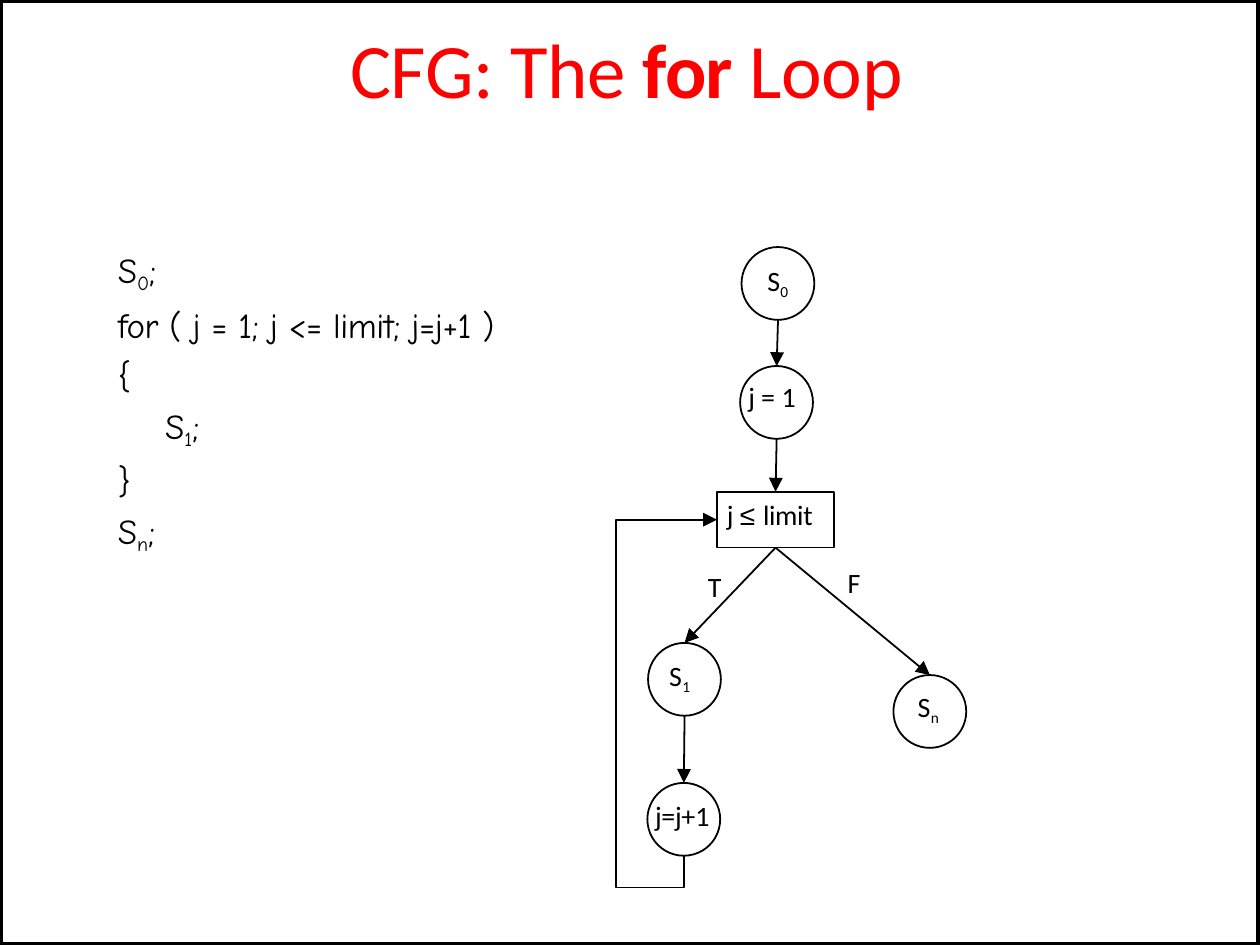
from pptx import Presentation
from pptx import util as u
from pptx.dml.color import RGBColor
from pptx.enum import shapes, text
from pptx.oxml.ns import qn
from lxml import etree

Pt = u.Pt
BLACK = RGBColor(0, 0, 0)
RED = RGBColor(255, 0, 0)
LINE_WIDTH = 0.5
DIAMETER = 20.8

SUB = {"size": 7.5, "baseline": -22000}
CODE_SUB = {"size": 9.8, "baseline": -21000}
TIGHT = {"spc": -10}

# (indent, runs) for each line of code
CODE = [
    (0, [("S", {}), ("0", CODE_SUB), (";", {})]),
    (0, [("for ( j = 1; j <= limit; j=j+1 )", TIGHT)]),
    (0, [("{", {})]),
    (13.5, [("S", {}), ("1", CODE_SUB), (";", {})]),
    (0, [("}", {})]),
    (0, [("S", {}), ("n", CODE_SUB), (";", {})]),
]

# left, top of each circle
NODES = {
    "start": (211.9, 70.6),
    "init": (211.5, 104.6),
    "body": (185.2, 183.7),
    "step": (185, 223.7),
    "end": (255.3, 192.9),
}
TEST = (204.9, 140.5, 33.4, 16)

# left, top, width, runs
LABELS = [
    (219.3, 73.6, 14, [("S", {}), ("0", SUB)]),
    (213.8, 106.7, 18, [("j = 1", {})]),
    (191.2, 186.5, 14, [("S", {"spc": 10}), ("1", SUB)]),
    (187.2, 226.6, 20, [("j=j+", TIGHT), ("1", {})]),
    (262.2, 195.3, 14, [("S", {"spc": 10}), ("n", SUB)]),
    (202.3, 161.1, 6, [("T", {})]),
    (242.2, 160, 6, [("F", {})]),
]


def add_runs(paragraph, runs, face, size, color):
    for words, changes in runs:
        run = paragraph.add_run()
        run.text = words
        look = {"name": face, "size": size, **changes}
        raw = {key: look.pop(key) for key in ("spc", "baseline") if key in look}
        look["size"] = Pt(look["size"])
        for key, value in look.items():
            setattr(run.font, key, value)
        run.font.color.rgb = color
        for key, value in raw.items():
            run.font._element.set(key, str(value))


def set_frame(frame, left=0, top=1.7):
    layout = {
        "margin_left": Pt(left), "margin_top": Pt(top),
        "margin_right": 0, "margin_bottom": 0, "word_wrap": True,
        "auto_size": text.MSO_AUTO_SIZE.NONE,
        "vertical_anchor": text.MSO_ANCHOR.TOP,
    }
    for key, value in layout.items():
        setattr(frame, key, value)


def add_title(slide):
    title = slide.shapes.title
    place = {"left": 99.4, "top": 4.3, "width": 170, "height": 28}
    for key, value in place.items():
        setattr(title, key, Pt(value))
    set_frame(title.text_frame, 0.7)
    heading = title.text_frame.paragraphs[0]
    heading.alignment = text.PP_ALIGN.LEFT
    heading.line_spacing = 1.0
    heading.space_before = Pt(0)
    runs = [("CFG: The ", TIGHT), ("for ", {"spc": -20, "bold": True}),
            ("Loop", TIGHT)]
    add_runs(heading, runs, "Calibri", 22, RED)


def add_code(slide):
    box = slide.shapes.add_textbox(Pt(31), Pt(64.1), Pt(131), Pt(88.6))
    frame = box.text_frame
    set_frame(frame, 2.7, 7)
    for number, (indent, runs) in enumerate(CODE):
        line = frame.add_paragraph() if number else frame.paragraphs[0]
        if number:
            line.space_before = Pt(2.4)
        if indent:
            line._p.get_or_add_pPr().set("marL", str(Pt(indent)))
        add_runs(line, runs, "Comic Neue", 10, BLACK)


def add_label(slide, left, top, width, runs):
    box = slide.shapes.add_textbox(Pt(left), Pt(top), Pt(width), Pt(11.5))
    set_frame(box.text_frame)
    add_runs(box.text_frame.paragraphs[0], runs, "Calibri", 8, BLACK)


def set_line(shape, width=LINE_WIDTH, arrow=False):
    shape.line.color.rgb = BLACK
    shape.line.width = Pt(width)
    if arrow:
        etree.SubElement(shape.line._get_or_add_ln(), qn("a:tailEnd"),
                         type="triangle", w="sm", len="sm")


def add_outline(slide, kind, place, width=LINE_WIDTH):
    shape = slide.shapes.add_shape(kind, *map(Pt, place))
    shape.shadow.inherit = False
    shape.fill.background()
    set_line(shape, width)
    return shape


def add_arrow(slide, start, finish):
    arrow = slide.shapes.add_connector(
        shapes.MSO_CONNECTOR.STRAIGHT, *map(Pt, start + finish))
    set_line(arrow, arrow=True)
    etree.SubElement(arrow._element.spPr, qn("a:effectLst"))


def add_loop_back(slide, start, finish):
    """Route from the step node, round the left side, back to the test."""
    left, bottom = 176.1, 253.6
    corners = [(start[0], bottom), (left, bottom), (left, finish[1]), finish]
    builder = slide.shapes.build_freeform(*map(Pt, start), scale=1.0)
    builder.add_line_segments([tuple(map(Pt, c)) for c in corners], close=False)
    loop = builder.convert_to_shape()
    loop.shadow.inherit = False
    loop.fill.background()
    set_line(loop, arrow=True)


def node_top(name):
    left, top = NODES[name]
    return left + DIAMETER / 2, top


def node_bottom(name):
    left, top = NODES[name]
    return left + DIAMETER / 2, top + DIAMETER


def add_graph(slide):
    for left, top in NODES.values():
        add_outline(slide, shapes.MSO_SHAPE.OVAL, (left, top, DIAMETER, DIAMETER))

    test = add_outline(slide, shapes.MSO_SHAPE.RECTANGLE, TEST)
    set_frame(test.text_frame, 2.8)
    condition = test.text_frame.paragraphs[0]
    condition.alignment = text.PP_ALIGN.LEFT
    runs = [("j ", {}), ("≤ ", {"name": "Arial"}), ("limit", TIGHT)]
    add_runs(condition, runs, "Calibri", 8, BLACK)

    left, top, width, height = TEST
    test_top = (left + width / 2, top)
    test_bottom = (left + width / 2, top + height)
    add_arrow(slide, node_bottom("start"), node_top("init"))
    add_arrow(slide, node_bottom("init"), test_top)
    add_arrow(slide, test_bottom, node_top("body"))
    add_arrow(slide, test_bottom, node_top("end"))
    add_arrow(slide, node_bottom("body"), node_top("step"))
    add_loop_back(slide, node_bottom("step"), (left, top + height / 2))

    for label in LABELS:
        add_label(slide, *label)


def main():
    deck = Presentation()
    deck.slide_width, deck.slide_height = Pt(360), Pt(270)
    slide = deck.slides.add_slide(deck.slide_layouts[5])
    add_title(slide)
    add_code(slide)
    add_graph(slide)
    add_outline(slide, shapes.MSO_SHAPE.RECTANGLE, (0, 0, 360, 270), 1.92)
    deck.save("out.pptx")


if __name__ == "__main__":
    main()
